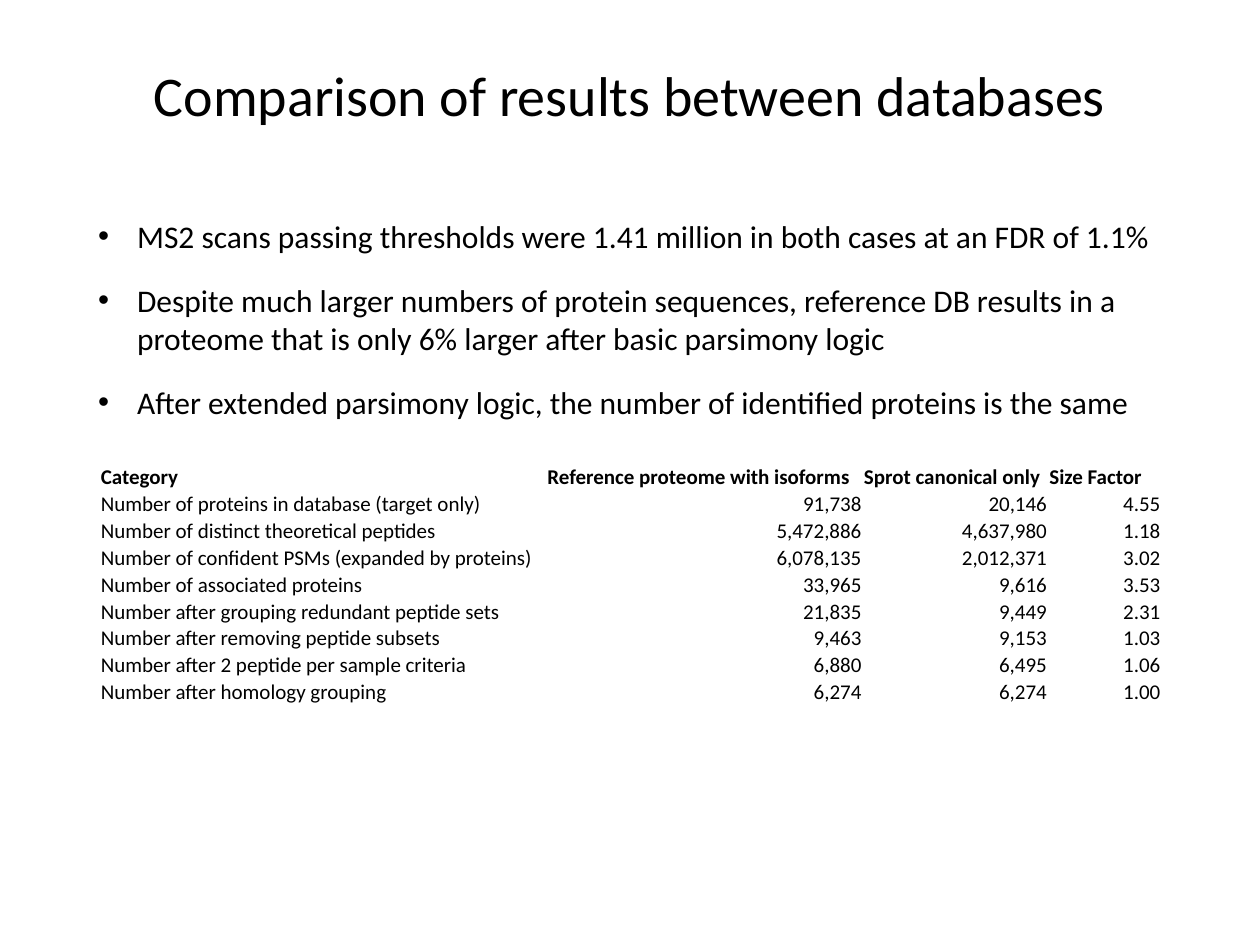
from pptx import Presentation
from pptx import util as u
from pptx.dml import color
from pptx.enum import text as t
from pptx.oxml import ns
from lxml import etree

WIDE, HIGH = 10, 7.5
INK = "000000"

HEADS = ["Category", "Reference proteome with isoforms",
         "Sprot canonical only", "Size Factor"]
ROWS = [
    ["Number of proteins in database (target only)", "91,738", "20,146", "4.55"],
    ["Number of distinct theoretical peptides", "5,472,886", "4,637,980", "1.18"],
    ["Number of confident PSMs (expanded by proteins)", "6,078,135", "2,012,371", "3.02"],
    ["Number of associated proteins", "33,965", "9,616", "3.53"],
    ["Number after grouping redundant peptide sets", "21,835", "9,449", "2.31"],
    ["Number after removing peptide subsets", "9,463", "9,153", "1.03"],
    ["Number after 2 peptide per sample criteria", "6,880", "6,495", "1.06"],
    ["Number after homology grouping", "6,274", "6,274", "1.00"],
]
COLS = [3.54, 2.51, 1.47, 0.9]
POINTS = [
    "MS2 scans passing thresholds were 1.41 million in both cases at an FDR of 1.1%",
    "Despite much larger numbers of protein sequences, reference DB results in a "
    "proteome that is only 6% larger after basic parsimony logic",
    "After extended parsimony logic, the number of identified proteins is the same",
]


def paint(code):
    return color.RGBColor.from_string(code)


def area(left, top, width, height):
    """Turn shares of the slide into lengths."""
    return [u.Inches(share * side) for share, side in
            zip((left, top, width, height), (WIDE, HIGH, WIDE, HIGH))]


def write(para, words, size, bold=False, align=t.PP_ALIGN.LEFT):
    para.alignment = align
    run = para.add_run()
    run.text = words
    run.font.name, run.font.size, run.font.bold = "Calibri", u.Pt(size), bold
    run.font.color.rgb = paint(INK)


def bullet(para, indent):
    props = para._p.get_or_add_pPr()
    props.set("marL", str(u.Inches(indent)))
    props.set("indent", str(-u.Inches(indent)))
    font = etree.SubElement(props, ns.qn("a:buFont"))
    font.set("typeface", "Arial")
    mark = etree.SubElement(props, ns.qn("a:buChar"))
    mark.set("char", "•")


def title(slide, box):
    frame = slide.shapes.add_textbox(*box).text_frame
    frame.word_wrap = True
    frame.vertical_anchor = t.MSO_ANCHOR.MIDDLE
    write(frame.paragraphs[0], "Comparison of results between databases",
          32, align=t.PP_ALIGN.CENTER)


def points(slide, box):
    frame = slide.shapes.add_textbox(*box).text_frame
    frame.word_wrap = True
    frame.auto_size = t.MSO_AUTO_SIZE.SHAPE_TO_FIT_TEXT
    for i, words in enumerate(POINTS):
        para = frame.paragraphs[0] if i == 0 else frame.add_paragraph()
        para.space_after = u.Pt(15)
        write(para, words, 18)
        bullet(para, 0.31)


def table(slide, box):
    data = [HEADS] + ROWS
    grid = slide.shapes.add_table(len(data), len(COLS), *box).table
    grid.first_row = grid.horz_banding = False
    # Columns share the box width, rows its height
    for col, part in zip(grid.columns, COLS):
        col.width = int(box[2] * part / sum(COLS))
    for row in grid.rows:
        row.height = int(box[3] / len(data))
    for r, line in enumerate(data):
        for c, words in enumerate(line):
            cell = grid.cell(r, c)
            cell.fill.background()
            cell.vertical_anchor = t.MSO_ANCHOR.BOTTOM
            cell.margin_left = cell.margin_right = cell.margin_top = u.Inches(0.01)
            cell.margin_bottom = 0
            # Figures sit right, labels and heads left
            side = t.PP_ALIGN.RIGHT if r and c else t.PP_ALIGN.LEFT
            write(cell.text_frame.paragraphs[0], words, 12, r == 0, side)
    # Plain table style: no grid, no bands
    style = grid._tbl.tblPr.find(ns.qn("a:tableStyleId"))
    style.text = "{2D5ABB26-0587-4C30-8999-92F81FD0307C}"


def main():
    deck = Presentation()
    deck.slide_width, deck.slide_height = u.Inches(WIDE), u.Inches(HIGH)
    slide = deck.slides.add_slide(deck.slide_layouts[6])
    slide.background.fill.solid()
    slide.background.fill.fore_color.rgb = paint("FFFFFF")
    title(slide, area(0.05, 0.04, 0.9, 0.12))
    table(slide, area(0.079, 0.49, 0.843, 0.257))
    points(slide, area(0.068, 0.223, 0.871, 0.23))
    deck.save("out.pptx")


if __name__ == "__main__":
    main()
